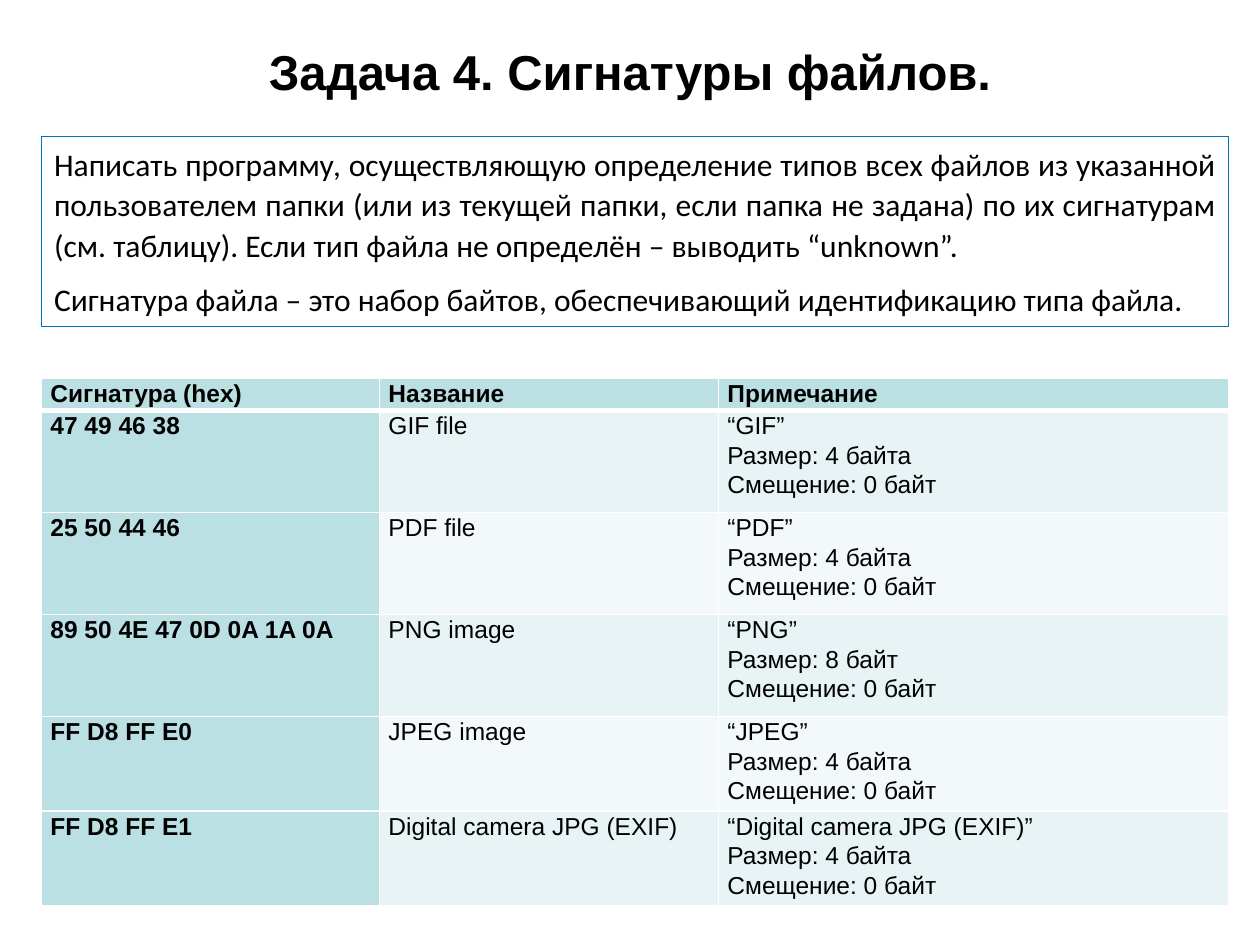
from dataclasses import dataclass

from lxml.etree import SubElement
from pptx import Presentation
from pptx.dml.color import RGBColor as RGB
from pptx.enum.shapes import MSO_SHAPE as SHAPE
from pptx.enum.text import MSO_ANCHOR as ANCHOR, MSO_AUTO_SIZE as AUTO, PP_ALIGN as ALIGN
from pptx.oxml.ns import qn
from pptx.util import Pt


@dataclass(frozen=True)
class Theme:
    text: str = "000000"
    frame: str = "0070C0"
    border: str = "FFFFFF"
    header: str = "BBE0E3"
    bands: tuple = ("E7F3F4", "F3F9FA")
    font: str = "Arial"
    task_font: str = "Calibri"
    title_size: float = 28
    task_size: float = 18
    table_size: float = 14
    line_spacing: float = 1.07


class SlideBuilder:
    def __init__(self, slide, theme):
        self.s = slide
        self.theme = theme

    def fill_text(self, tf, lines, size, font, bold=False, align=ALIGN.JUSTIFY,
                  spacing=None, after=0):
        tf.word_wrap = True
        for i, line in enumerate(lines):
            p = tf.add_paragraph() if i else tf.paragraphs[0]
            p.text = line
            p.alignment = align
            p.line_spacing = spacing
            p.space_after = Pt(after)
            p.font.size = Pt(size)
            p.font.name = font
            p.font.bold = bold
            p.font.color.rgb = RGB.from_string(self.theme.text)

    def title(self, text, box):
        tf = self.s.shapes.add_textbox(*map(Pt, box)).text_frame
        tf.vertical_anchor = ANCHOR.MIDDLE
        self.fill_text(tf, [text], self.theme.title_size, self.theme.font, True, ALIGN.CENTER)

    def framed_text(self, lines, box):
        t = self.theme
        sp = self.s.shapes.add_shape(SHAPE.RECTANGLE, *map(Pt, box))
        sp.shadow.inherit = False
        sp.fill.background()
        sp.line.color.rgb = RGB.from_string(t.frame)
        sp.line.width = Pt(0.75)
        tf = sp.text_frame
        tf.vertical_anchor = ANCHOR.TOP
        self.fill_text(tf, lines, t.task_size, t.task_font, spacing=t.line_spacing, after=8)
        tf.auto_size = AUTO.SHAPE_TO_FIT_TEXT

    def borders(self, cell, bottom):
        tcPr = cell._tc.get_or_add_tcPr()
        for side, width in (("L", 1), ("R", 1), ("T", 1), ("B", bottom)):
            ln = SubElement(tcPr, qn(f"a:ln{side}"), w=str(Pt(width)))
            fill = SubElement(ln, qn("a:solidFill"))
            SubElement(fill, qn("a:srgbClr"), val=self.theme.border)

    def cell(self, cell, lines, fill, bold, bottom):
        t = self.theme
        cell.margin_left = cell.margin_right = Pt(5)
        cell.margin_top = cell.margin_bottom = 0
        self.borders(cell, bottom)
        cell.fill.solid()
        cell.fill.fore_color.rgb = RGB.from_string(fill)
        self.fill_text(cell.text_frame, lines, t.table_size, t.font, bold,
                       spacing=t.line_spacing)

    def table(self, rows, left, top, widths, heights):
        """Fill a table whose first row and first column are headings."""
        t = self.theme
        frame = self.s.shapes.add_table(len(rows), len(widths), Pt(left), Pt(top),
                                        Pt(sum(widths)), Pt(sum(heights)))
        table = frame.table
        for column, width in zip(table.columns, widths):
            column.width = Pt(width)
        for i, (row, height) in enumerate(zip(rows, heights)):
            table.rows[i].height = Pt(height)
            for j, text in enumerate(row):
                heading = i == 0 or j == 0
                fill = t.header if heading else t.bands[(i - 1) % 2]
                self.cell(table.cell(i, j), text.split("\n"), fill, heading,
                          bottom=1 if i else 3)


TASK = [
    "Написать программу, осуществляющую определение типов всех файлов из указанной "
    "пользователем папки (или из текущей папки, если папка не задана) по их сигнатурам "
    "(см. таблицу). Если тип файла не определён – выводить “unknown”.",
    "Сигнатура файла – это набор байтов, обеспечивающий идентификацию типа файла.",
]
HEADER = ("Сигнатура (hex)", "Название", "Примечание")
SIGNATURES = [
    ("47 49 46 38", "GIF file", "GIF", "4 байта"),
    ("25 50 44 46", "PDF file", "PDF", "4 байта"),
    ("89 50 4E 47 0D 0A 1A 0A", "PNG image", "PNG", "8 байт"),
    ("FF D8 FF E0", "JPEG image", "JPEG", "4 байта"),
    ("FF D8 FF E1", "Digital camera JPG (EXIF)", "Digital camera JPG (EXIF)", "4 байта"),
]


def main():
    prs = Presentation()
    prs.slide_width, prs.slide_height = Pt(720), Pt(540)
    slide = SlideBuilder(prs.slides.add_slide(prs.slide_layouts[6]), Theme())

    slide.title("Задача 4. Сигнатуры файлов.", (36, 9.4, 648, 62.6))
    slide.framed_text(TASK, (23.8, 77.8, 678.2, 108.7))
    rows = [HEADER] + [
        (code, name, f"“{note}”\nРазмер: {size}\nСмещение: 0 байт")
        for code, name, note, size in SIGNATURES
    ]
    slide.table(rows, 23.8, 216, widths=(193.2, 193.7, 291.2),
                heights=[18.7] + [58.3] * 3 + [53.2] * 2)
    prs.save("out.pptx")


if __name__ == "__main__":
    main()
